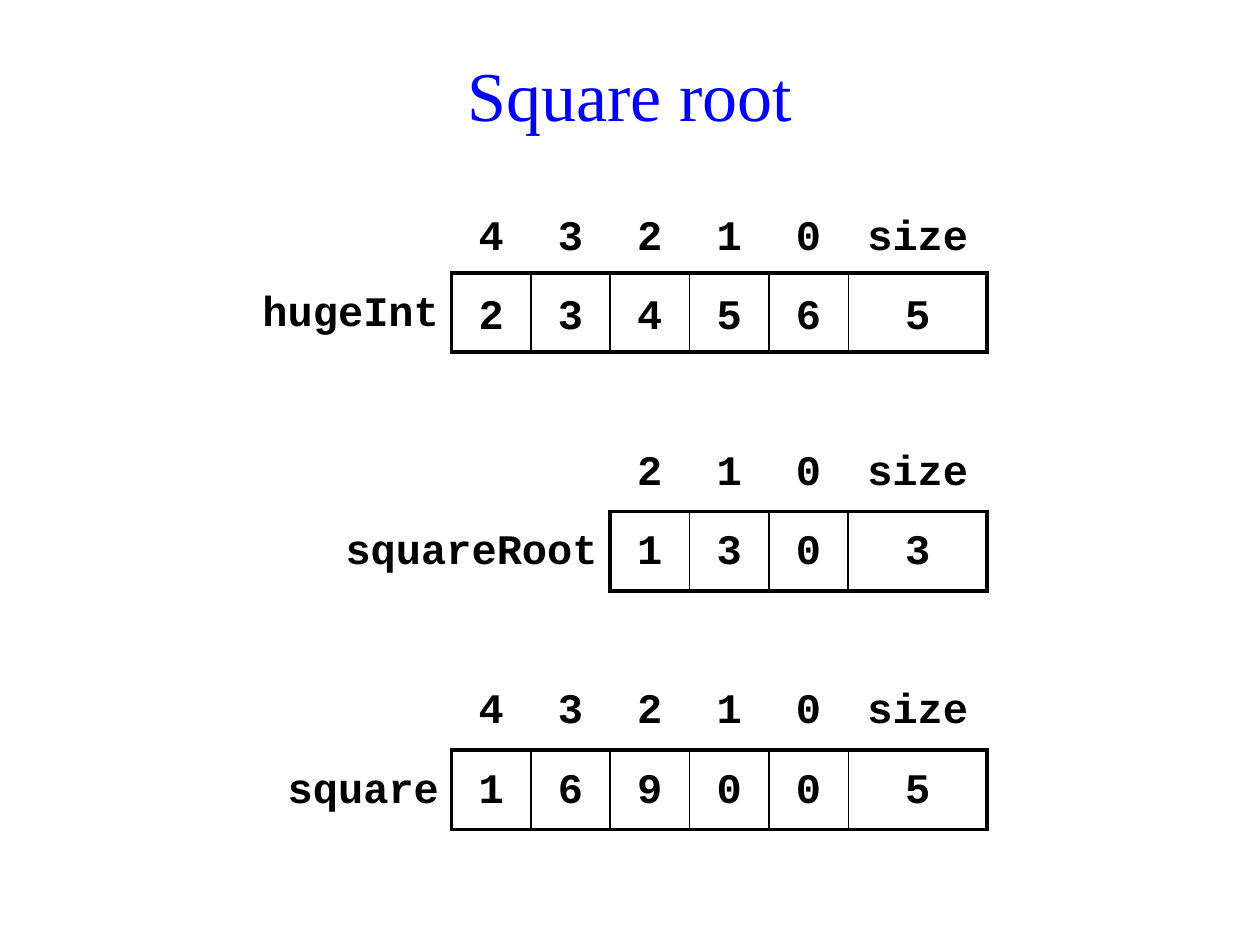
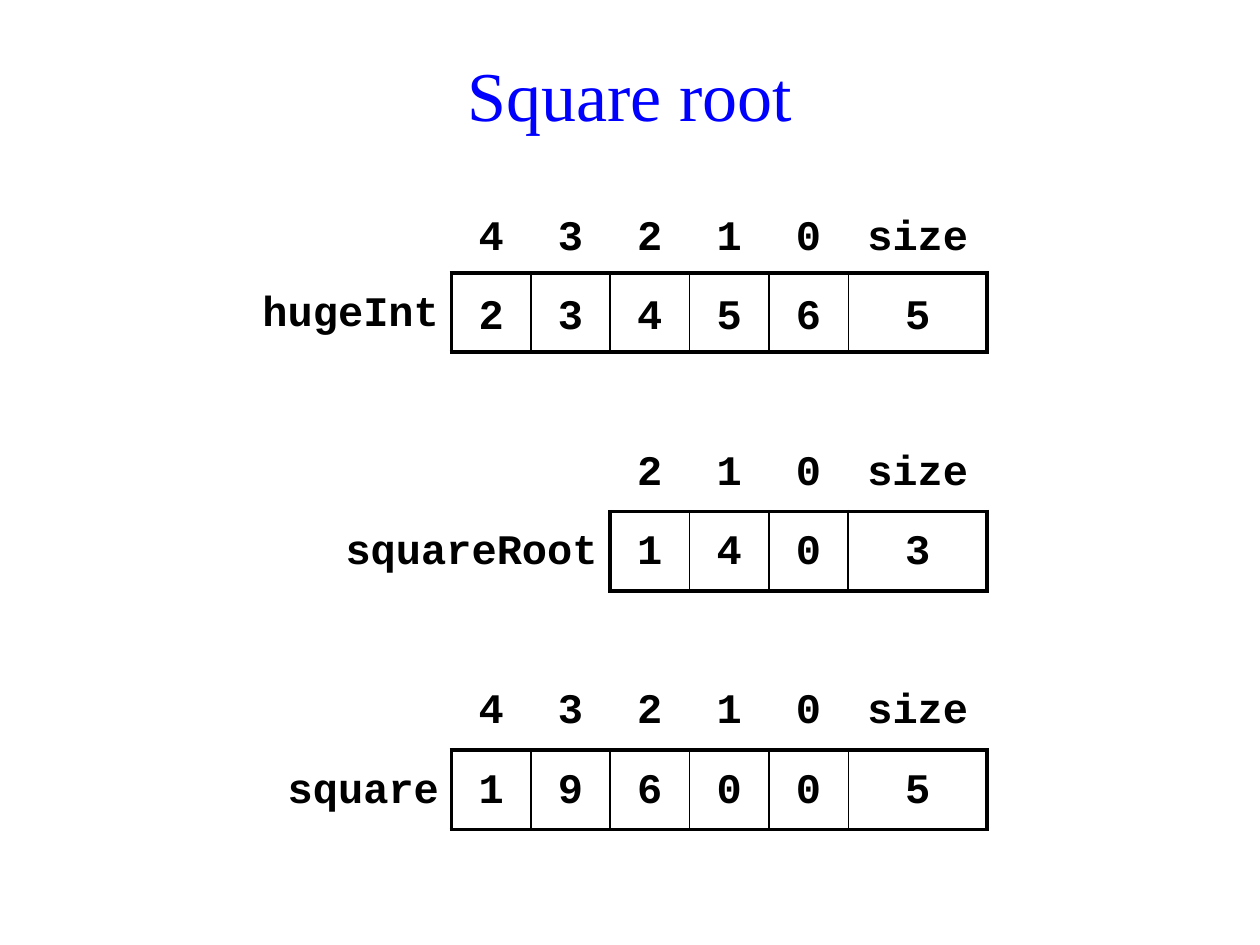
from dataclasses import dataclass
from typing import Any

import pptx
import pptx.dml.color
import pptx.enum.text
import pptx.oxml
import pptx.oxml.ns
import pptx.util
from pptx.enum.text import MSO_ANCHOR, PP_ALIGN
from pptx.util import Cm, Pt


@dataclass(frozen=True)
class Theme:
    title_color: str = "0000FF"
    ink: str = "000000"
    title_font: str = "Times New Roman"
    code_font: str = "Courier New"
    title_size: int = 40
    code_size: int = 24
    code_spacing: float = 1.25
    frame_width: float = 2.25
    divider_width: float = 1


THEME = Theme()
TITLE_FORMAT = {"name": THEME.title_font, "size": Pt(THEME.title_size), "bold": False}
CODE_FORMAT = {"name": THEME.code_font, "size": Pt(THEME.code_size), "bold": True}

ARRAYS_RIGHT = Cm(19.9)
FIRST_ARRAY_TOP = Cm(3.9)
ARRAY_STEP = Cm(4.81)
CELL_SIDE = Cm(1.6)
SIZE_WIDTH = Cm(2.8)
SIDES = ("L", "R", "T", "B")


@dataclass(frozen=True)
class DigitArray:
    """A number kept as an array of digits, followed by its size."""
    name: str
    number: int
    name_width: pptx.util.Length
    anchor: MSO_ANCHOR = MSO_ANCHOR.TOP

    @property
    def rows(self) -> tuple[list[str], list[str]]:
        digits = list(str(self.number))
        indices = [str(i) for i in reversed(range(len(digits)))]
        return ["", *indices, "size"], [self.name, *digits, str(len(digits))]


def write(paragraph: Any, text: str, alignment: PP_ALIGN,
          font_format: dict[str, Any], color: str) -> None:
    paragraph.alignment = alignment
    run = paragraph.add_run()
    run.text = text
    for attribute, value in font_format.items():
        setattr(run.font, attribute, value)
    run.font.color.rgb = pptx.dml.color.RGBColor.from_string(color)


def add_title(slide: Any, text: str) -> None:
    frame = slide.shapes.add_textbox(Cm(1.5), Cm(0.7), Cm(22.4), Cm(2.36)).text_frame
    frame.word_wrap = True
    frame.vertical_anchor = MSO_ANCHOR.MIDDLE
    write(frame.paragraphs[0], text, PP_ALIGN.CENTER, TITLE_FORMAT, THEME.title_color)


def border_widths(row: int, column: int, last_column: int) -> dict[str, float]:
    """Line width by side; a side that is left out has no line."""
    frame, divider = THEME.frame_width, THEME.divider_width
    if column == 0:
        return {"R": frame} if row == 1 else {}
    if row == 0:
        return {"B": frame}
    return {
        "L": frame if column == 1 else divider,
        "R": frame if column == last_column else divider,
        "T": frame,
        "B": frame,
    }


def draw_borders(cell: Any, widths: dict[str, float]) -> None:
    properties = cell._tc.get_or_add_tcPr()
    namespace = pptx.oxml.ns.nsdecls("a")
    for side in SIDES:
        width = Pt(widths.get(side, 0))
        paint = (f'<a:solidFill><a:srgbClr val="{THEME.ink}"/></a:solidFill>'
                 if width else "<a:noFill/>")
        properties.append(pptx.oxml.parse_xml(
            f'<a:ln{side} {namespace} w="{width}">{paint}</a:ln{side}>'))


def add_digit_array(slide: Any, array: DigitArray, top: int) -> None:
    rows = array.rows
    last_column = len(rows[0]) - 1
    widths = [array.name_width, *[CELL_SIDE] * (last_column - 1), SIZE_WIDTH]
    total = sum(widths)
    table = slide.shapes.add_table(
        len(rows), len(widths), ARRAYS_RIGHT - total, top,
        total, CELL_SIDE * len(rows)).table
    table.first_row = table.horz_banding = False
    for column, width in zip(table.columns, widths):
        column.width = width

    for row, texts in enumerate(rows):
        table.rows[row].height = CELL_SIDE
        for column, text in enumerate(texts):
            cell = table.cell(row, column)
            draw_borders(cell, border_widths(row, column, last_column))
            cell.fill.background()
            if not text:
                continue
            is_name = column == 0
            cell.vertical_anchor = MSO_ANCHOR.TOP if is_name else array.anchor
            paragraph = cell.text_frame.paragraphs[0]
            paragraph.line_spacing = THEME.code_spacing
            write(paragraph, text, PP_ALIGN.RIGHT if is_name else PP_ALIGN.CENTER,
                  CODE_FORMAT, THEME.ink)


def add_guess_slide(deck: Any, huge_int: int, guess: int) -> None:
    """Show a guessed root and its square beside the number."""
    slide = deck.slides.add_slide(deck.slide_layouts[6])
    add_title(slide, "Square root")
    arrays = (
        DigitArray("hugeInt", huge_int, Cm(4.4), MSO_ANCHOR.MIDDLE),
        DigitArray("squareRoot", guess, Cm(5.6)),
        DigitArray("square", guess ** 2, Cm(3.6)),
    )
    for position, array in enumerate(arrays):
        add_digit_array(slide, array, FIRST_ARRAY_TOP + position * ARRAY_STEP)


def main() -> None:
    deck = pptx.Presentation()
    deck.slide_width, deck.slide_height = Cm(25.4), Cm(19.05)
    for guess in (130, 140):
        add_guess_slide(deck, 23456, guess)
    deck.save("out.pptx")


if __name__ == "__main__":
    main()
